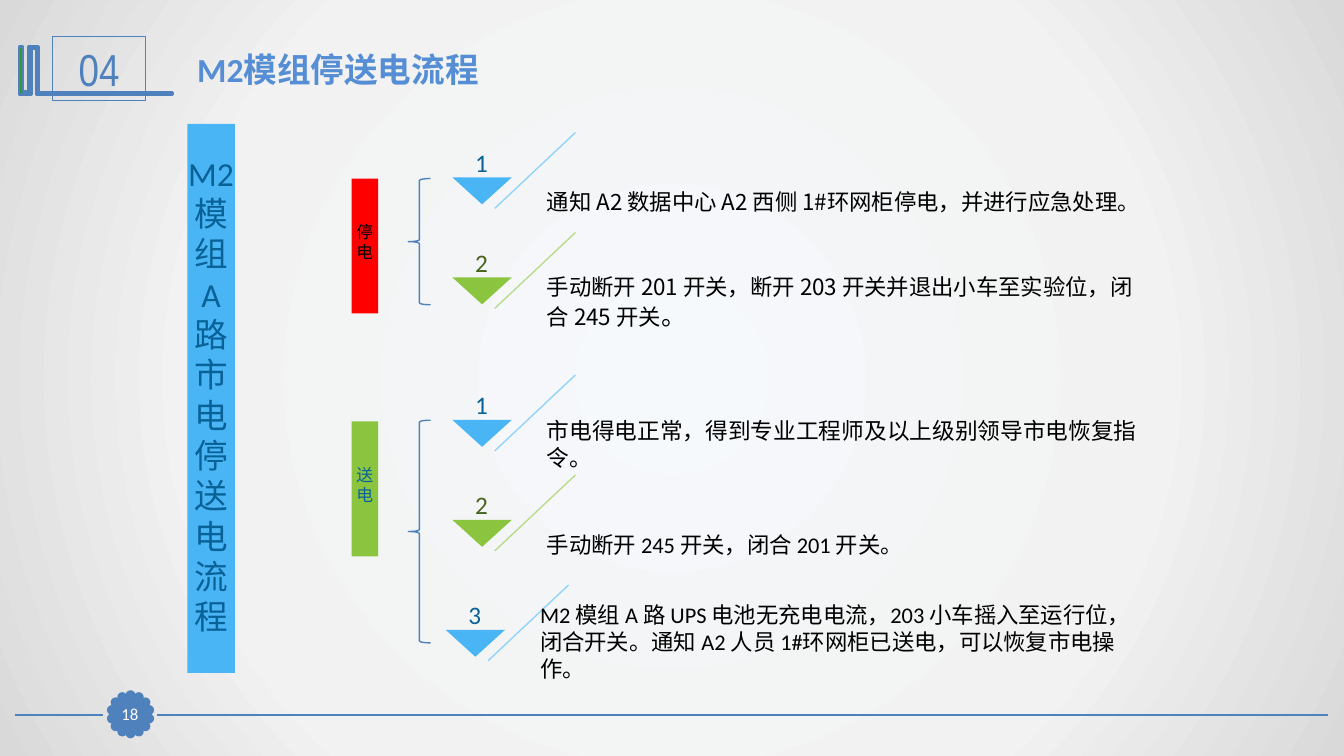
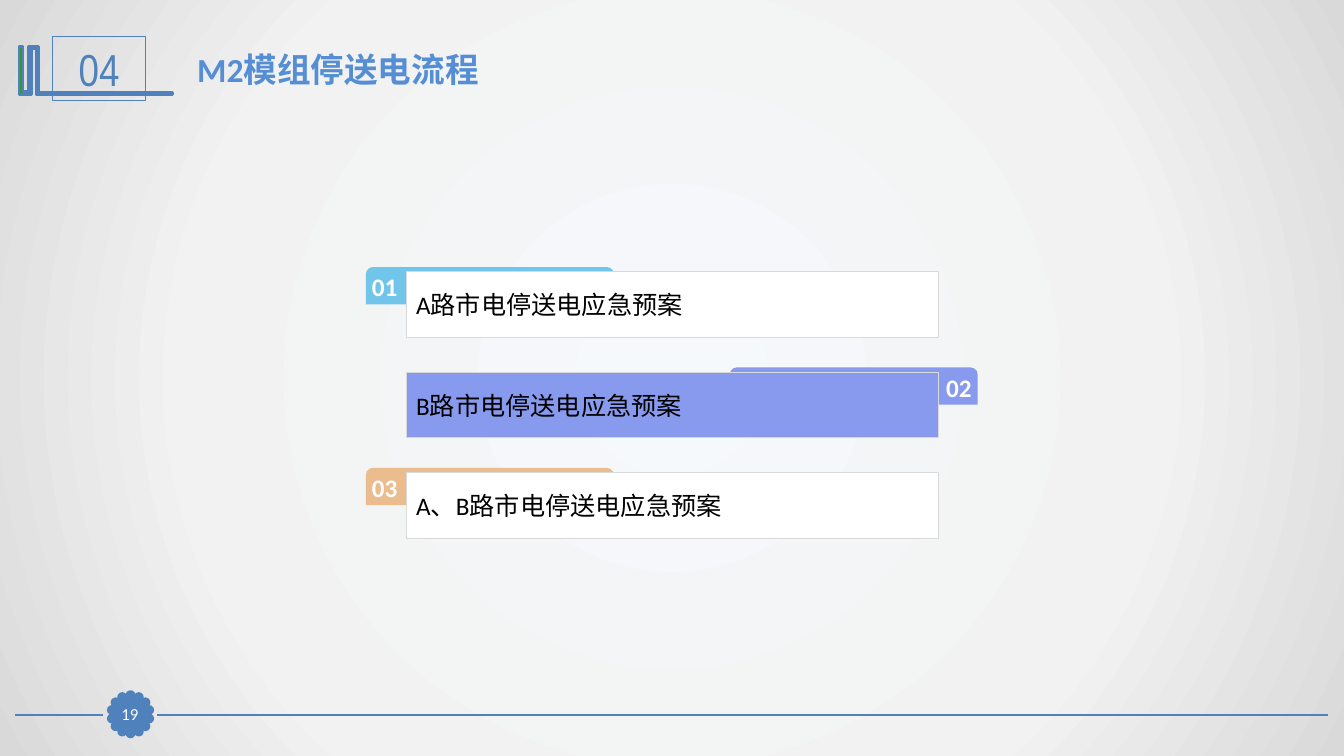
"""Build the two slides on the M2 module power-off and power-on procedure."""
import math

from pptx import Presentation, oxml
from pptx import util as u
from pptx.dml.color import RGBColor
from pptx.enum import shapes, text
from pptx.oxml import ns

COLORS = {
    "blue": "4F81BD", "title": "558ED5", "green_base": "339933",
    "sky": "4AB5F5", "sky_line": "92D3F9", "navy": "086297",
    "lime": "8BC53F", "lime_line": "B9DC8C", "olive": "46641E",
    "red": "FF0000", "black": "000000", "white": "FFFFFF", "grey": "D9D9D9",
    "cyan": "72C5EA", "violet": "879AED", "sand": "EABC8E",
}
BACKGROUND = (
    f'<p:bg {ns.nsdecls("p", "a")}><p:bgPr><a:gradFill rotWithShape="1"><a:gsLst>'
    '<a:gs pos="0"><a:srgbClr val="F6F9FC"/></a:gs>'
    '<a:gs pos="63000"><a:srgbClr val="F2F2F2"/></a:gs>'
    '<a:gs pos="100000"><a:srgbClr val="D9D9D9"/></a:gs></a:gsLst>'
    '<a:path path="circle"><a:fillToRect l="50000" t="50000" r="50000" b="50000"/>'
    '</a:path></a:gradFill><a:effectLst/></p:bgPr></p:bg>'
)
LATIN, CJK, NARROW = "Calibri", "Noto Sans CJK SC", "Arial Narrow"
SHAPE, ALIGN, ANCHOR = shapes.MSO_SHAPE, text.PP_ALIGN, text.MSO_ANCHOR
NO_INSETS = (0, 0, 0, 0)
BANNER_INSETS = (0, 0, 0, 0.2)
BRACKET = [
    (0.94, 1.17), (0.97, 1.17), (0.97, 2.34), (4.34, 2.34), (4.34, 2.39),
    (0.91, 2.39), (0.91, 1.22), (0.79, 1.22), (0.79, 2.39), (0.48, 2.39),
    (0.48, 1.17), (0.58, 1.17), (0.58, 2.31), (0.71, 2.31), (0.71, 1.17),
]
STEP_STYLES = {
    "sky": ("sky", "sky_line", "navy"),
    "lime": ("lime", "lime_line", "olive"),
}


def rgb(name):
    return RGBColor.from_string(COLORS[name])


class Deck:
    def __init__(self):
        self.prs = Presentation()
        self.prs.slide_width, self.prs.slide_height = u.Cm(33.87), u.Cm(19.05)
        self.s = None

    def paint(self, sp, fill=None, line=None, width=0.75):
        sp.shadow.inherit = False
        if fill:
            sp.fill.solid()
            sp.fill.fore_color.rgb = rgb(fill)
        else:
            sp.fill.background()
        if line:
            sp.line.color.rgb = rgb(line)
            sp.line.width = u.Pt(width)
        else:
            sp.line.fill.background()

    def put_text(self, sp, paragraphs, size, color, font=LATIN, bold=False,
                 align=ALIGN.LEFT, anchor=ANCHOR.MIDDLE, insets=None):
        tf = sp.text_frame
        tf.word_wrap = True
        tf.vertical_anchor = anchor
        if insets:
            (tf.margin_left, tf.margin_top,
             tf.margin_right, tf.margin_bottom) = map(u.Cm, insets)
        for i, runs in enumerate(paragraphs):
            p = tf.add_paragraph() if i else tf.paragraphs[0]
            p.alignment = align
            for run in runs:
                words, points = run if isinstance(run, tuple) else (run, size)
                r = p.add_run()
                r.text = words
                r.font.name, r.font.size, r.font.bold = font, u.Pt(points), bold
                r.font.color.rgb = rgb(color)
                ea = oxml.parse_xml(f'<a:ea {ns.nsdecls("a")} typeface="{CJK}"/>')
                r._r.get_or_add_rPr().append(ea)

    def shape(self, kind, box, fill=None, line=None, width=0.75):
        sp = self.s.shapes.add_shape(kind, *map(u.Cm, box))
        self.paint(sp, fill, line, width)
        return sp

    def textbox(self, box, paragraphs, size, color, **style):
        sp = self.s.shapes.add_textbox(*map(u.Cm, box))
        self.put_text(sp, paragraphs, size, color, **style)

    def line(self, start, end, color, width):
        ends = map(u.Cm, (*start, *end))
        sp = self.s.shapes.add_connector(shapes.MSO_CONNECTOR.STRAIGHT, *ends)
        sp.line.color.rgb = rgb(color)
        sp.line.width = u.Pt(width)
        sp.element.spPr.append(oxml.parse_xml(f'<a:effectLst {ns.nsdecls("a")}/>'))

    def outline(self, points, fill, line=None, width=0.75):
        first, *rest = [(u.Cm(x), u.Cm(y)) for x, y in points]
        builder = self.s.shapes.build_freeform(*first)
        builder.add_line_segments(rest, close=True)
        self.paint(builder.convert_to_shape(), fill, line, width)

    def badge(self, number, cx=3.29, cy=18, radius=0.48, dot=0.18, count=14):
        self.line((33.48, 18.01), (3.96, 18.01), "blue", 1.25)
        self.line((2.59, 18.01), (0.38, 18.01), "blue", 1.25)
        for i in range(count):
            angle = 2 * math.pi * i / count
            x = cx + radius * math.sin(angle) - dot / 2
            y = cy - radius * math.cos(angle) - dot / 2
            self.shape(SHAPE.OVAL, (x, y, dot, dot), "blue", "blue", 2)
        sp = self.shape(SHAPE.RECTANGLE, (2.87, 17.6, 0.81, 0.79), "blue", "blue")
        self.put_text(sp, [[str(number)]], 12, "white", align=ALIGN.CENTER,
                      insets=NO_INSETS)

    def new_slide(self, section, title, number):
        self.s = self.prs.slides.add_slide(self.prs.slide_layouts[6])
        self.s.element.cSld.insert(0, oxml.parse_xml(BACKGROUND))
        self.badge(number)
        self.outline(BRACKET, "green_base", "blue", 2)
        sp = self.shape(SHAPE.RECTANGLE, (1.32, 0.91, 2.36, 1.63), line="blue")
        self.put_text(sp, [[section]], 32, "blue", font=NARROW, align=ALIGN.CENTER)
        self.textbox((4.72, 1.12, 24.61, 1.28), [[title]], 24, "title",
                     bold=True, anchor=ANCHOR.TOP)

    def banner(self, box, paragraphs, size, fill, color):
        sp = self.shape(SHAPE.RECTANGLE, box, fill)
        self.put_text(sp, paragraphs, size, color, align=ALIGN.CENTER,
                      insets=BANNER_INSETS)

    def step(self, number, y, style, paragraphs, x=11.4, size=16, font=LATIN,
             rise=0.25, height=1.73):
        fill, line, color = STEP_STYLES[style]
        self.line((x + 3.1, y - 1.13), (x + 1.07, y + 0.78), line, 1)
        self.outline([(x, y), (x + 1.5, y), (x + 0.75, y + 0.68)], fill)
        self.textbox((x + 2.13, y - rise, 15.42, height), paragraphs, size,
                     "black", font=font)
        self.textbox((x - 0.05, y - 1.52, 1.57, 1.52), [[str(number)]], 18, color,
                     align=ALIGN.CENTER, anchor=ANCHOR.BOTTOM, insets=NO_INSETS)

    def plan(self, index, name, tab_fill, box_fill, right=False):
        y = 6.85 + 2.53 * index
        tab = self.shape(SHAPE.ROUND_2_SAME_RECTANGLE,
                         (18.39 if right else 9.22, y - 0.12, 6.25, 0.94), tab_fill)
        tab.adjustments[0] = 0.19
        self.put_text(tab, [[f"{index + 1:02}"]], 18, "white", bold=True,
                      align=ALIGN.RIGHT if right else ALIGN.JUSTIFY,
                      insets=(0.25, 0, 0.1, 0) if right else (0.1, 0, 0.25, 0))
        sp = self.shape(SHAPE.RECTANGLE, (10.24, y, 13.41, 1.65), box_fill, "grey")
        self.put_text(sp, [[name]], 18, "black", align=ALIGN.JUSTIFY)


def procedure_slide(deck):
    deck.new_slide("04", "M2模组停送电流程", 18)
    deck.banner((4.72, 3.12, 1.2, 13.84), [["M2"], ["模组 A 路市电停送电流程"]],
                24, "sky", "navy")
    deck.banner((8.86, 4.5, 0.67, 3.4), [["停电"]], 12, "red", "black")
    deck.banner((8.86, 10.62, 0.67, 3.4), [["送电"]], 12, "lime", "navy")
    for y, height in ((4.5, 3.18), (10.59, 5.61)):
        deck.shape(SHAPE.LEFT_BRACE, (10.29, y, 0.56, height), line="blue", width=1)
    deck.step(1, 4.47, "sky",
              [["通知 A2 数据中心 A2 西侧 1#环网柜停电，并进行应急处理。"]], font=CJK)
    deck.step(2, 6.99, "lime",
              [["手动断开 201 开关，断开 203 开关并退出小车至实验位，闭合 245 开关",
                ("。", 18)]], font=CJK)
    deck.step(1, 10.58, "sky",
              [["市电得电正常，得到专业工程师及以上级别领导市电恢复指"], ["令。"]],
              size=16.2)
    deck.step(2, 13.1, "lime", [["手动断开 245 开关，闭合 201 开关。"]])
    deck.step(3, 15.87, "sky",
              [["M2 模组 A 路 UPS 电池无充电电流，203 小车摇入至运行位，闭合开关。"
                "通知 A2 人员 1#环网柜已送电，可以恢复市电操作。"]],
              x=11.23, rise=0.84, height=2.29)


def plans_slide(deck):
    deck.new_slide("04", "M2模组停送电流程", 19)
    deck.plan(0, "A路市电停送电应急预案", "cyan", "white")
    deck.plan(1, "B路市电停送电应急预案", "violet", "violet", right=True)
    deck.plan(2, "A、B路市电停送电应急预案", "sand", "white")


def main():
    deck = Deck()
    procedure_slide(deck)
    plans_slide(deck)
    deck.prs.save("out.pptx")


if __name__ == "__main__":
    main()
